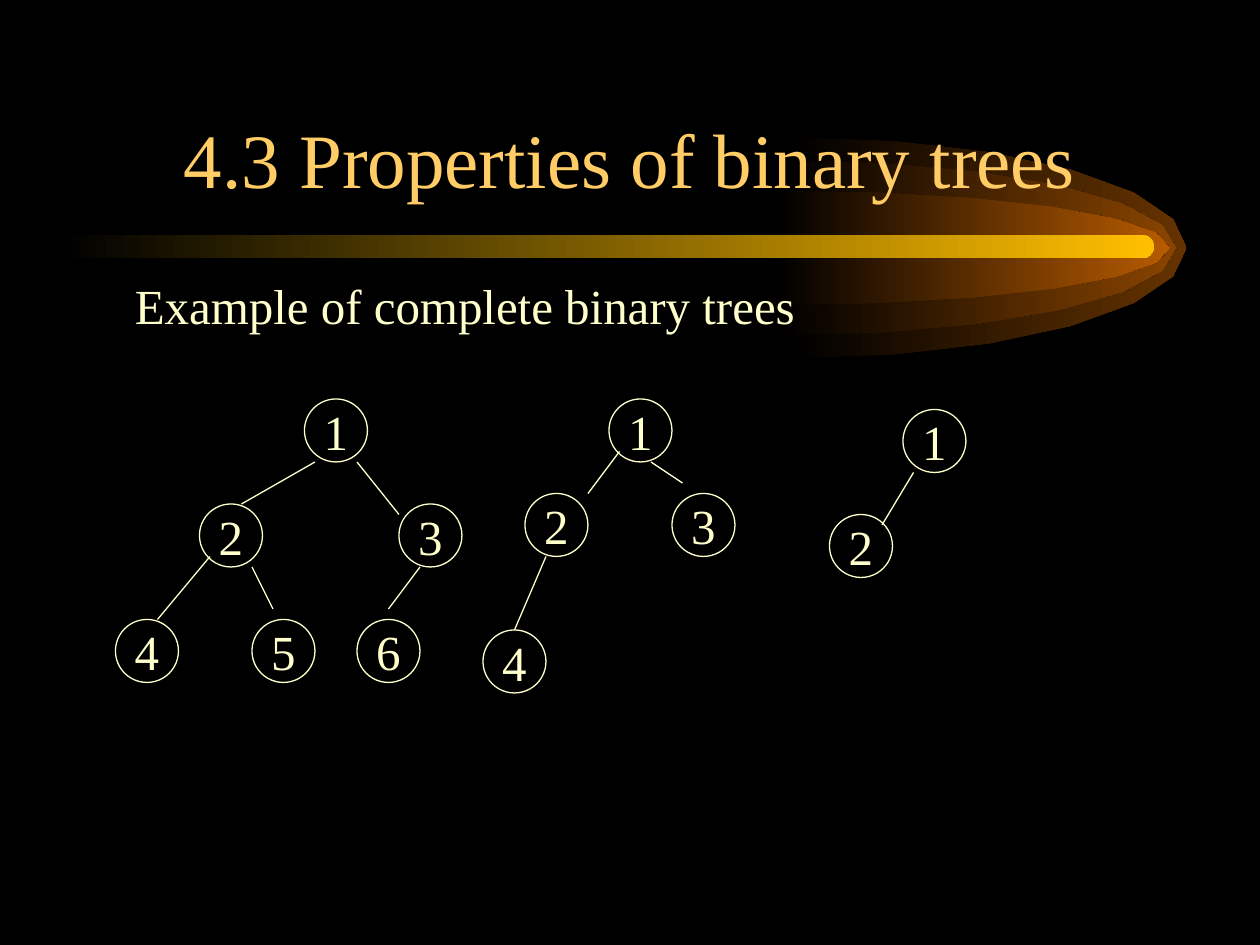
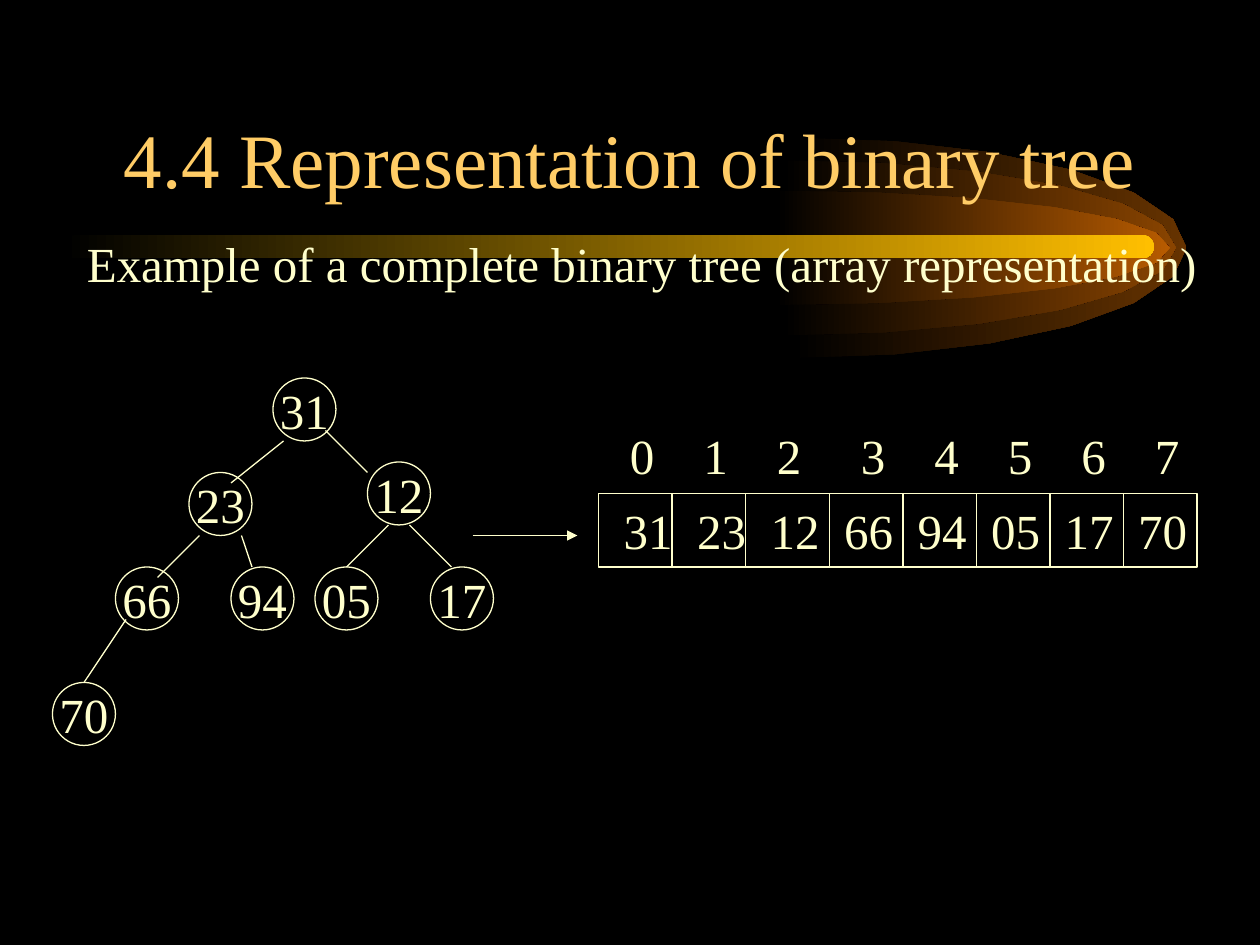
"""Build two slides on complete binary trees and their array form."""
import math

import pptx
import pptx.dml.color
import pptx.enum.shapes
import pptx.enum.text
import pptx.oxml
import pptx.oxml.ns
import pptx.util

CELL = pptx.util.Inches(1) / 12
COLS, ROWS = 120, 90
NODE = 6
STEP = 7
ARCS = 12
FONT = "Times New Roman"
HEX = {"back": "000000", "title": "FFCC66", "text": "FFFFCC", "bar": "FFBF00",
       "outer": "663300", "middle": "894400", "inner": "B75B00"}
COMETS = [(75.5, 21, "outer"), (74.5, 16.7, "middle"), (73.9, 10.9, "inner")]
SHAPE = pptx.enum.shapes.MSO_SHAPE
ANCHOR = pptx.enum.text.MSO_ANCHOR
ALIGN = pptx.enum.text.PP_ALIGN

TREES = [
    ({"1": (29, 38), "2": (19, 48), "3": (38, 48),
      "4": (11, 59), "5": (24, 59), "6": (34, 59)},
     [(30, 44, 23, 48), (34, 44, 38, 49), (20, 53, 15, 59),
      (24, 54, 26, 58), (40, 54, 37, 58)]),
    ({"1": (58, 38), "2": (50, 47), "3": (64, 47), "4": (46, 60)},
     [(59, 43, 56, 47), (62, 44, 65, 46), (52, 53, 49, 60)]),
    ({"1": (86, 39), "2": (79, 49)}, [(87, 45, 84, 50)]),
]
HEAP = (
    {"31": (26, 36), "23": (18, 45), "12": (35, 44), "66": (11, 54),
     "94": (22, 54), "05": (30, 54), "17": (41, 54), "70": (5, 65)},
    [(27, 42, 22, 46), (31, 41, 35, 45), (19, 51, 15, 55), (23, 51, 24, 54),
     (37, 50, 33, 54), (39, 50, 43, 54), (12, 59, 8, 65)],
)


def grid(*cells):
    """Turn grid cells into lengths."""
    return [pptx.util.Emu(round(cell * CELL)) for cell in cells]


def tint(name):
    """Return the named colour."""
    return pptx.dml.color.RGBColor.from_string(HEX[name])


def glow(shape, name):
    """Fade a shape from the background to a colour, left to right."""
    shape.shadow.inherit = False
    shape.line.fill.background()
    shape.fill.gradient()
    shape.fill.gradient_angle = 0
    for stop, part in zip(shape.fill.gradient_stops, ("back", name)):
        stop.color.rgb = tint(part)


def comet(slide, left, high, name):
    """Draw the right half of an ellipse."""
    wide, mid = 37.5, 23.6
    turns = [math.pi * (k / ARCS - 0.5) for k in range(ARCS + 1)]
    dots = [grid(left + wide * math.cos(t), mid + high / 2 * math.sin(t))
            for t in turns]
    form = slide.shapes.build_freeform(*dots[0])
    form.add_line_segments(dots[1:], close=True)
    glow(form.convert_to_shape(), name)


def write(shape, text, size=28, name="text", align=ALIGN.LEFT,
          anchor=ANCHOR.TOP, left=0.1, top=0.05, wrap=True, tabs=()):
    """Set and format the text of a shape."""
    frame = shape.text_frame
    frame.text = text
    frame.word_wrap = wrap
    frame.vertical_anchor = anchor
    frame.margin_left = pptx.util.Inches(left)
    frame.margin_right = 0 if tabs else pptx.util.Inches(0.1)
    frame.margin_top = pptx.util.Inches(top)
    frame.margin_bottom = pptx.util.Inches(0.05)
    para = frame.paragraphs[0]
    para.alignment = align
    if tabs:
        stops = pptx.oxml.parse_xml(
            f"<a:tabLst {pptx.oxml.ns.nsdecls('a')}>"
            + "".join(f'<a:tab pos="{pos}" algn="l"/>' for pos in grid(*tabs))
            + "</a:tabLst>")
        para._p.get_or_add_pPr().append(stops)
    for run in para.runs:
        run.font.name = FONT
        run.font.size = pptx.util.Pt(size)
        run.font.color.rgb = tint(name)


def label(slide, area, text, **style):
    """Add a text box over an area of the grid."""
    write(slide.shapes.add_textbox(*grid(*area)), text, **style)


def outline(slide, kind, area):
    """Add an unfilled shape with a thin line."""
    shape = slide.shapes.add_shape(kind, *grid(*area))
    shape.shadow.inherit = False
    shape.fill.background()
    shape.line.color.rgb = tint("text")
    shape.line.width = pptx.util.Pt(0.75)
    return shape


def link(slide, ends, arrow=False):
    """Join two grid points with a line or an arrow."""
    line = slide.shapes.add_connector(
        pptx.enum.shapes.MSO_CONNECTOR.STRAIGHT, *grid(*ends))
    line.line.color.rgb = tint("text")
    line.line.width = pptx.util.Pt(0.75)
    space = pptx.oxml.ns.nsdecls("a")
    if arrow:
        line.line._get_or_add_ln().append(
            pptx.oxml.parse_xml(f'<a:tailEnd {space} type="triangle"/>'))
    line._element.spPr.append(pptx.oxml.parse_xml(f"<a:effectLst {space}/>"))


def tree(slide, nodes, links):
    """Draw the nodes and links of one tree."""
    for key, (left, top) in nodes.items():
        shape = outline(slide, SHAPE.OVAL, (left, top, NODE, NODE))
        write(shape, key, align=ALIGN.CENTER, anchor=ANCHOR.MIDDLE, wrap=False)
    for ends in links:
        link(slide, ends)


def array(slide, keys, left, top):
    """Draw the array cells with their index row above."""
    count = len(keys)
    shifts = [k * STEP + (k > 2) for k in range(count + 1)]
    box = outline(slide, SHAPE.RECTANGLE, (left, top, shifts[-1], STEP))
    write(box, "\t".join(keys), anchor=ANCHOR.MIDDLE, left=0.2,
          tabs=[k * STEP for k in range(1, count)])
    for shift in shifts[1:-1]:
        link(slide, (left + shift, top, left + shift, top + STEP))
    label(slide, (left + 1.8, top - 7.2, 54.8, 6.8),
          "\t".join(str(k) for k in range(count)), top=0.06,
          tabs=shifts[1:-1])


def page(deck, title):
    """Add a slide with the shared comet, bar and title."""
    slide = deck.slides.add_slide(deck.slide_layouts[6])
    for left, high, name in COMETS:
        comet(slide, left, high, name)
    bar = slide.shapes.add_shape(SHAPE.ROUNDED_RECTANGLE,
                                 *grid(6, 22.4, 103.9, 2.2))
    bar.adjustments[0] = 0.5
    glow(bar, "bar")
    label(slide, (9, 5, COLS - 18, 15), title, size=44, name="title",
          align=ALIGN.CENTER, anchor=ANCHOR.BOTTOM)
    return slide


def main():
    """Build and save the deck."""
    deck = pptx.Presentation()
    deck.slide_width, deck.slide_height = grid(COLS, ROWS)
    back = deck.slide_master.background.fill
    back.solid()
    back.fore_color.rgb = tint("back")

    slide = page(deck, "4.3 Properties of binary trees")
    label(slide, (9, 25, 102, 54), "Example of complete binary trees",
          left=0.32, top=0.1)
    for nodes, links in TREES:
        tree(slide, nodes, links)

    slide = page(deck, "4.4 Representation of binary tree")
    label(slide, (3, 21, 115, 62),
          "Example of a complete binary tree (array representation)",
          left=0.44, top=0.1)
    tree(slide, *HEAP)
    link(slide, (45, 51, 55, 51), arrow=True)
    array(slide, list(HEAP[0]), 57, 47)
    deck.save("out.pptx")


if __name__ == "__main__":
    main()
